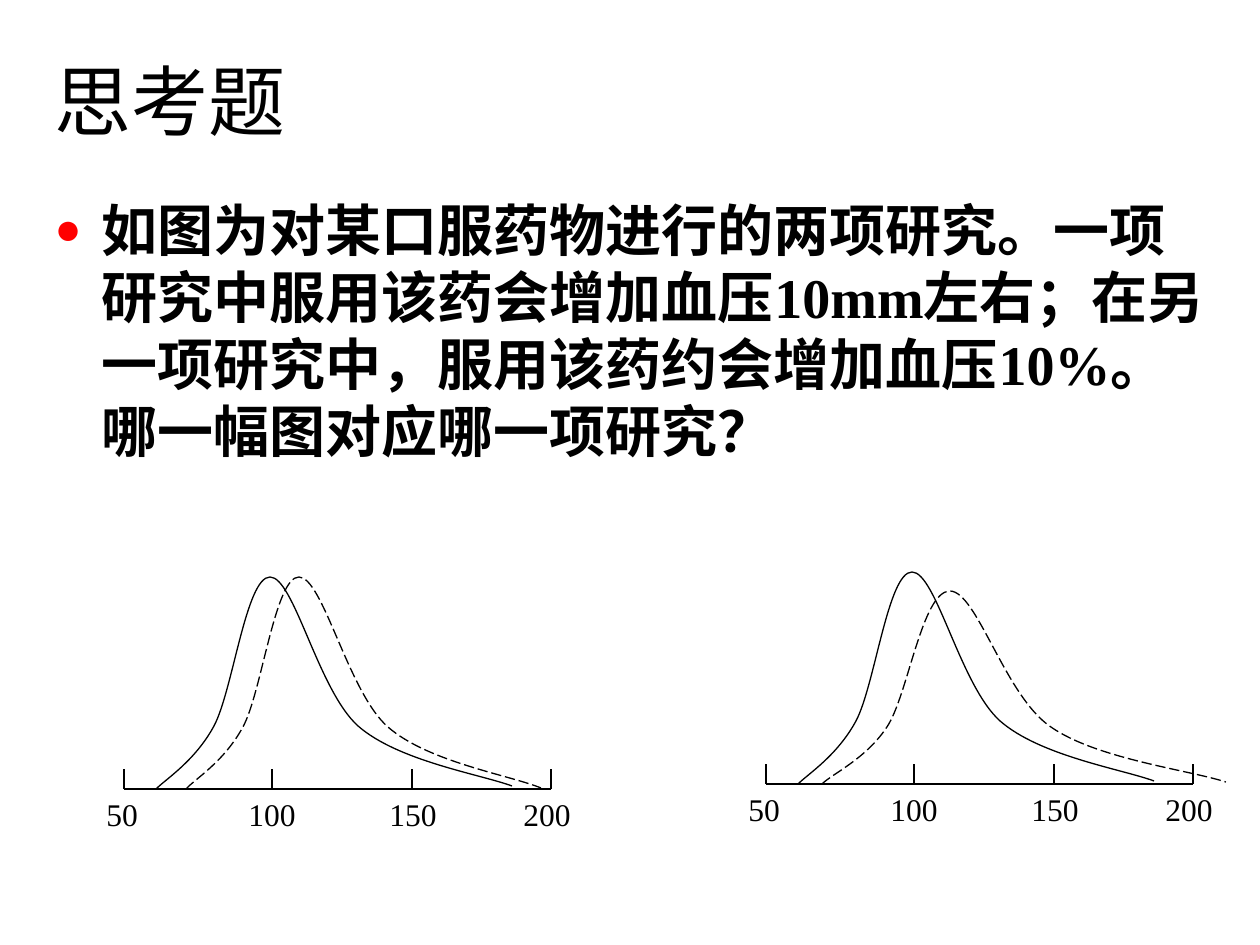
import pptx
import pptx.util
import pptx.dml.color
import pptx.enum.dml
import pptx.enum.shapes
import pptx.enum.text
import pptx.oxml
import pptx.oxml.ns
from lxml import etree

PX = 914400 / 126
BLACK = pptx.dml.color.RGBColor(0, 0, 0)
RED = pptx.dml.color.RGBColor(255, 0, 0)
FONT = "Times New Roman"
qn = pptx.oxml.ns.qn


def box(*lengths):
    return [round(n * PX) for n in lengths]


def style(para, size, bold=False):
    for run in para.runs:
        run.font.name = FONT
        run.font.size = pptx.util.Pt(size)
        run.font.bold = bold
        run.font.color.rgb = BLACK


prs = pptx.Presentation()
prs.slide_width, prs.slide_height = box(1260, 945)
slide = prs.slides.add_slide(prs.slide_layouts[1])

# Title
title = slide.shapes.title
title.left, title.top, title.width, title.height = box(42, 21, 1176, 158)
title.text_frame.text = "思考题"
title.text_frame.auto_size = pptx.enum.text.MSO_AUTO_SIZE.NONE
para = title.text_frame.paragraphs[0]
para.alignment = pptx.enum.text.PP_ALIGN.LEFT
style(para, 44)

# Question with a red bullet
body = slide.placeholders[1]
body.left, body.top, body.width, body.height = box(42, 189, 1176, 714)
body.text_frame.text = (
    "如图为对某口服药物进行的两项研究。一项研究中服用该药会增加血压10mm左右；"
    "在另一项研究中，服用该药约会增加血压10%。哪一幅图对应哪一项研究？"
)
body.text_frame.auto_size = pptx.enum.text.MSO_AUTO_SIZE.NONE
para = body.text_frame.paragraphs[0]
para.space_before = pptx.util.Pt(0)
props = para._p.get_or_add_pPr()
indent = round(47 * PX)
props.set("marL", str(indent))
props.set("indent", str(-indent))
tint = etree.SubElement(props, qn("a:buClr"))
etree.SubElement(tint, qn("a:srgbClr"), val=str(RED))
etree.SubElement(props, qn("a:buSzPct"), val="80000")
etree.SubElement(props, qn("a:buChar"), char="●")
style(para, 32, True)

# Curves: a start point, then three Bezier points per segment
before = [(156, 789), (166, 779), (195, 761), (214, 726), (233, 690),
          (246, 577), (270, 577), (294, 577), (318, 690), (358, 726),
          (398, 761), (479, 774), (512, 786)]
shifted = [(186, 789), (195, 779), (224, 762), (243, 727), (262, 692),
           (275, 577), (299, 577), (323, 577), (348, 692), (388, 727),
           (428, 762), (509, 775), (541, 788)]
scaled = [(180, 789), (190, 779), (224, 764), (245, 732), (266, 701),
          (280, 596), (308, 596), (335, 596), (363, 701), (409, 732),
          (455, 764), (547, 775), (584, 787)]

BASE, TICK = 789, 20
marks = [124, 272, 412, 551]
axis = [(marks[0], BASE, marks[-1], BASE)]
axis += [(x, BASE, x, BASE - TICK) for x in marks]
stops = [142, 283, 417]

for dx, dy, after in [(0, 0, shifted), (642, -5, scaled)]:
    group = slide.shapes.add_group_shape().shapes

    # Solid and dashed curves
    for points, dash in [(before, None), (after, pptx.enum.dml.MSO_LINE.LONG_DASH)]:
        points = [(x + dx, y + dy) for x, y in points]
        pen = group.build_freeform(*points[0], scale=PX)
        pen.add_line_segments(points[1:], close=False)
        curve = pen.convert_to_shape()
        route = curve._element.find(".//" + qn("a:path"))
        steps = route.findall(qn("a:lnTo"))
        for i in range(0, len(steps), 3):
            bend = etree.SubElement(route, qn("a:cubicBezTo"))
            for step in steps[i:i + 3]:
                bend.append(step[0])
                route.remove(step)
        curve.shadow.inherit = False
        curve.fill.background()
        curve.line.color.rgb = BLACK
        curve.line.width = pptx.util.Pt(0.75)
        curve.line.dash_style = dash

    # Axis and ticks
    for x1, y1, x2, y2 in axis:
        line = group.add_connector(
            pptx.enum.shapes.MSO_CONNECTOR.STRAIGHT,
            *box(x1 + dx, y1 + dy, x2 + dx, y2 + dy))
        line.line.color.rgb = BLACK
        line.line.width = pptx.util.Pt(0.75)
        etree.SubElement(line._element.spPr, qn("a:effectLst"))

    # Axis labels on tab stops
    label = group.add_textbox(*box(94 + dx, BASE + dy, 496, 88))
    label.text_frame.word_wrap = True
    label.text_frame.text = "50\t100\t150\t200"
    para = label.text_frame.paragraphs[0]
    tabs = etree.SubElement(para._p.get_or_add_pPr(), qn("a:tabLst"))
    for stop in stops:
        etree.SubElement(tabs, qn("a:tab"), pos=str(round(stop * PX)), algn="l")
    style(para, 18)

prs.save("out.pptx")
